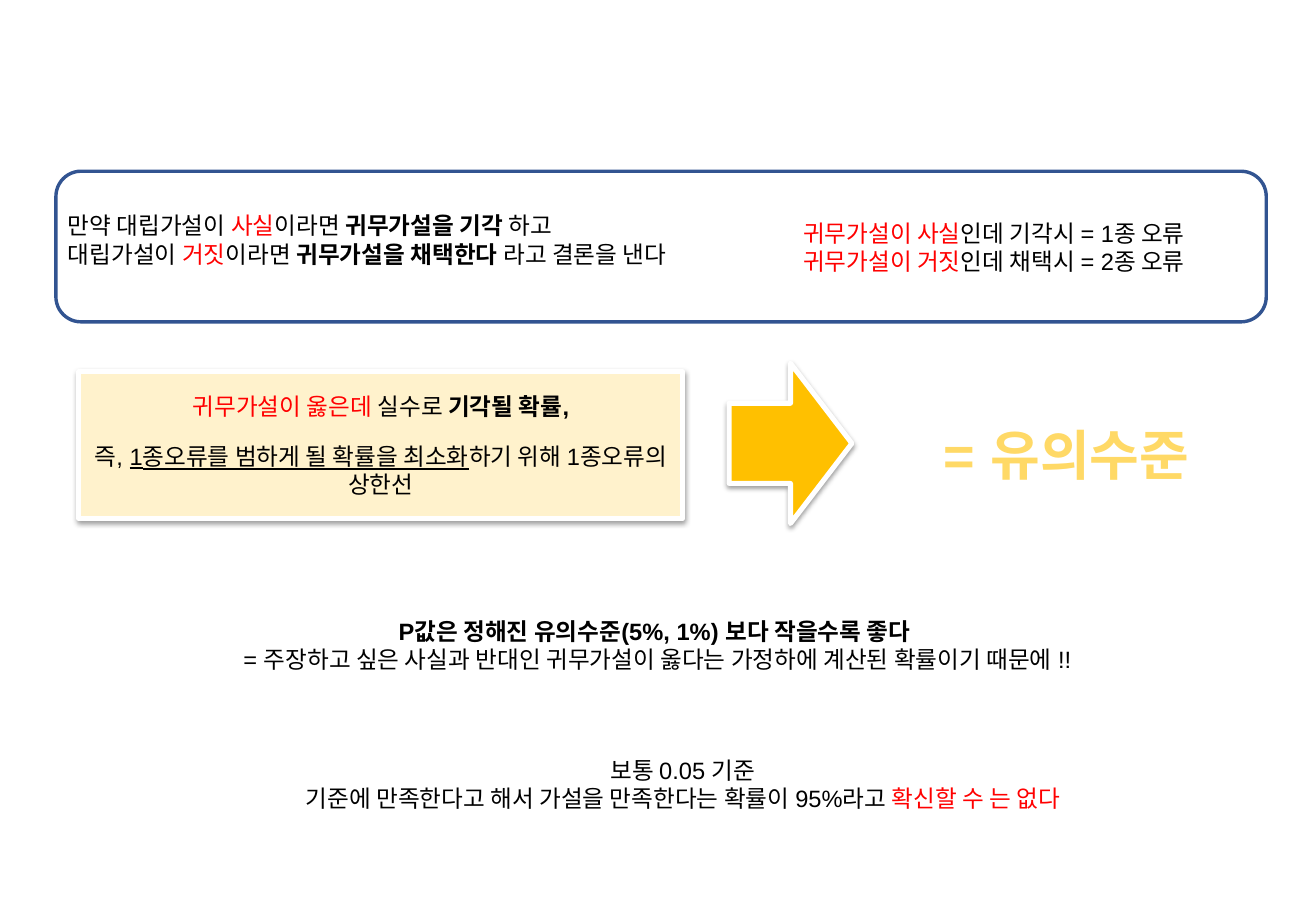
from lxml.etree import SubElement as Sub
from pptx import Presentation as Deck
from pptx.dml.color import RGBColor as Rgb
from pptx.enum.shapes import MSO_SHAPE as Kind
from pptx.enum.text import MSO_ANCHOR as Anchor, MSO_AUTO_SIZE as Fit, PP_ALIGN as Align
from pptx.oxml.ns import qn
from pptx.util import Inches, Pt

INK, RED, GOLD, CREAM, WHITE, NAVY = "000000", "FF0000", "FFC000", "FFF2CC", "FFFFFF", "325491"
LEFT, MID = Align.LEFT, Align.CENTER
HOT, BOLD, LINED = {"color": RED}, {"bold": True}, {"underline": True}


def paint(fill, code):
    fill.solid()
    fill.fore_color.rgb = Rgb.from_string(code)


class Page:
    base = {"name": "Arial", "size": Pt(14), "bold": False, "underline": False}

    def __init__(self, deck):
        self.wide, self.high = deck.slide_width, deck.slide_height
        self.shapes = deck.slides.add_slide(deck.slide_layouts[6]).shapes

    def place(self, x, y, w, h):
        """Turn percentages of the slide's size into lengths."""
        return [round(side * part / 100) for side, part in
                zip((self.wide, self.high) * 2, (x, y, w, h))]

    def label(self, frame, lines, align, gap=0):
        """Fill a frame; each line is a list of (text, format) runs."""
        for i, line in enumerate(lines):
            para = frame.add_paragraph() if i else frame.paragraphs[0]
            para.alignment = align
            if i and gap:
                para.space_before = Pt(gap)
            for text, style in line:
                run = para.add_run()
                run.text = text
                look = {**self.base, "color": INK, **style}
                paint(run.font.fill, look.pop("color"))
                for key, value in look.items():
                    setattr(run.font, key, value)

    def text(self, area, lines, align=LEFT):
        frame = self.shapes.add_textbox(*self.place(*area)).text_frame
        frame.word_wrap = False
        frame.auto_size = Fit.SHAPE_TO_FIT_TEXT
        self.label(frame, lines, align)

    def shape(self, kind, area, edge, width, fill=None):
        item = self.shapes.add_shape(kind, *self.place(*area))
        item.shadow.inherit = False
        paint(item.line.fill, edge)
        item.line.width = Pt(width)
        if fill:
            paint(item.fill, fill)
        else:
            item.fill.background()
        return item

    def raised(self, kind, area, fill):
        """Add a white-edged shape with a soft shadow below it."""
        item = self.shape(kind, area, WHITE, 3, fill)
        glow = Sub(item._element.spPr.find(qn("a:effectLst")), qn("a:outerShdw"),
                   blurRad=str(Pt(3.1)), dist=str(Pt(1.6)), dir="5400000", rotWithShape="0")
        tone = Sub(glow, qn("a:srgbClr"), val=INK)
        Sub(tone, qn("a:alpha"), val="38000")
        return item


def main():
    deck = Deck()
    deck.slide_width, deck.slide_height = Inches(10.83), Inches(7.5)
    page = Page(deck)

    page.text((4.25, 22.53, 51.99, 7.6), [
        [("만약 대립가설이 ", {}), ("사실", HOT), ("이라면 ", {}),
         ("귀무가설을 기각 ", BOLD), ("하고", {})],
        [("대립가설이 ", {}), ("거짓", HOT), ("이라면 ", {}),
         ("귀무가설을 채택한다 ", BOLD), ("라고 결론을 낸다", {})]])
    page.text((60.11, 23.33, 34.16, 7.6), [
        [("귀무가설이 사실", HOT), ("인데 기각시 = 1종 오류", {})],
        [("귀무가설이 거짓", HOT), ("인데 채택시 = 2종 오류", {})]])
    page.text((14.68, 67.07, 70.54, 7.6), [
        [("P값은 정해진 유의수준(5%, 1%) 보다 작을수록 좋다 ", BOLD)],
        [("= 주장하고 싶은 사실과 반대인 귀무가설이 옳다는 가정하에 계산된 확률이기 때문에 !!", {})]], MID)
    page.text((70.82, 45.6, 21.98, 8.53), [
        [("= 유의수준", {"size": Pt(32), "bold": True, "color": "FFD966"})]])

    card = page.raised(Kind.RECTANGLE, (6, 40.8, 45.89, 16.13), CREAM).text_frame
    card.word_wrap = True
    card.vertical_anchor = Anchor.MIDDLE
    page.label(card, [
        [("귀무가설이 옳은데 ", HOT), ("실수로 ", {}), ("기각될 확률,", BOLD)],
        [("즉, ", {}), ("1종오류를 범하게 될 확률을 최소화", LINED),
         ("하기 위해 1종오류의 상한선", {})]], MID, gap=12.5)
    page.raised(Kind.RIGHT_ARROW, (55.4, 39.87, 9.33, 17.6), GOLD)
    page.shape(Kind.ROUNDED_RECTANGLE, (4.25, 18.8, 91.97, 16.53), NAVY, 2)

    page.text((18.01, 82.27, 67.77, 7.6), [
        [("보통 0.05 기준", {})],
        [("기준에 만족한다고 해서 가설을 만족한다는 확률이 95%라고 ", {}),
         ("확신할 수 는 없다", HOT)]], MID)
    deck.save("out.pptx")


if __name__ == "__main__":
    main()
